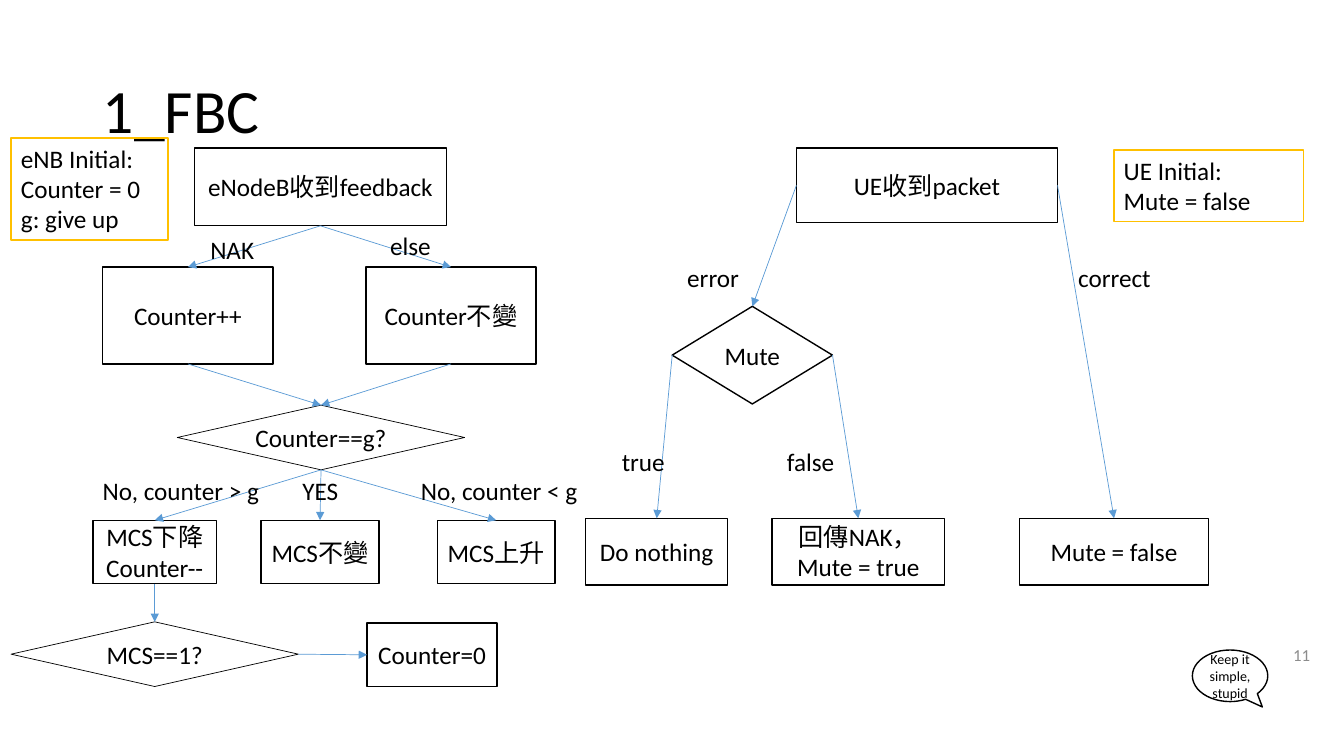
from lxml import etree
from pptx import Presentation
from pptx.dml.color import RGBColor
from pptx.enum.shapes import MSO_CONNECTOR, MSO_SHAPE
from pptx.enum.text import MSO_ANCHOR, PP_ALIGN
from pptx.oxml.ns import qn
from pptx.util import Cm, Pt

RECT, PROC, DIAM = MSO_SHAPE.RECTANGLE, MSO_SHAPE.FLOWCHART_PROCESS, MSO_SHAPE.DIAMOND
CALL = MSO_SHAPE.OVAL_CALLOUT
LEFT, MID, RIGHT = PP_ALIGN.LEFT, PP_ALIGN.CENTER, PP_ALIGN.RIGHT
TOP, CENTER = MSO_ANCHOR.TOP, MSO_ANCHOR.MIDDLE
BLACK = RGBColor(0x00, 0x00, 0x00)
WHITE = RGBColor(0xFF, 0xFF, 0xFF)
BLUE = RGBColor(0x5B, 0x9B, 0xD5)
GOLD = RGBColor(0xFF, 0xC0, 0x00)
GRAY = RGBColor(0x8C, 0x8C, 0x8C)
LATIN, ASIAN = "Calibri", "Noto Sans CJK SC"

# Content: lengths in cm as left, top, width, height
TITLE = "1_FBC"
NODES = {  # key: (shape, text lines, place, line width)
    "enb": (RECT, ["eNodeB收到feedback"], (4.9, 3.73, 6.35, 1.96), 1),
    "plus": (PROC, ["Counter++"], (2.59, 6.73, 4.29, 2.44), 1),
    "same": (PROC, ["Counter不變"], (9.22, 6.73, 4.29, 2.44), 1),
    "give": (DIAM, ["Counter==g?"], (4.47, 10.21, 7.24, 1.63), 0.5),
    "down": (PROC, ["MCS下降", "Counter--"], (2.34, 13.11, 3.12, 1.6), 1),
    "keep": (PROC, ["MCS不變"], (6.58, 13.11, 2.97, 1.6), 1),
    "up": (PROC, ["MCS上升"], (11.02, 13.11, 2.97, 1.6), 1),
    "one": (DIAM, ["MCS==1?"], (0.28, 15.67, 7.24, 1.63), 0.5),
    "zero": (PROC, ["Counter=0"], (9.25, 15.7, 3.28, 1.6), 1),
    "ue": (RECT, ["UE收到packet"], (20.07, 3.73, 6.58, 1.88), 1),
    "mute": (DIAM, ["Mute"], (16.94, 7.72, 4.04, 2.46), 1),
    "none": (PROC, ["Do nothing"], (14.76, 13.06, 3.58, 1.68), 1),
    "nak": (PROC, ["回傳NAK，Mute = true"], (19.46, 13.06, 4.34, 1.68), 1),
    "clear": (PROC, ["Mute = false"], (25.7, 13.06, 4.75, 1.68), 1),
}
SITES = {"top": 0, "left": 1, "bottom": 2, "right": 3}
LINKS = [  # from, side, to, side
    ("enb", "bottom", "plus", "top"),
    ("enb", "bottom", "same", "top"),
    ("plus", "bottom", "give", "top"),
    ("same", "bottom", "give", "top"),
    ("give", "bottom", "down", "top"),
    ("give", "bottom", "keep", "top"),
    ("give", "bottom", "up", "top"),
    ("down", "bottom", "one", "top"),
    ("one", "right", "zero", "left"),
    ("ue", "left", "mute", "top"),
    ("ue", "right", "clear", "top"),
    ("mute", "left", "none", "top"),
    ("mute", "right", "nak", "top"),
]
LABELS = [  # text, left, top, width, wrap
    ("NAK", 5.05, 5.77, 3.05, True),
    ("else", 9.58, 5.69, 1.6, True),
    ("No, counter > g", 2.34, 11.86, 4.55, True),
    ("YES", 7.37, 11.86, 1.42, False),
    ("No, counter < g", 10.36, 11.86, 4.55, True),
    ("error", 17.07, 6.48, 1.96, True),
    ("correct", 26.92, 6.48, 2.44, True),
    ("true", 15.42, 11.13, 1.6, False),
    ("false", 19.58, 11.13, 1.73, False),
]
HIGH = 1.02
NOTES = [
    (["eNB Initial:", "Counter = 0", "g: give up"], (0.28, 3.48, 3.96, 2.57)),
    (["UE Initial:", "Mute = false"], (28.07, 3.78, 4.78, 1.8)),
]
MOTTO = (["Keep it simple, stupid"], (30.05, 16.38, 1.9, 1.3))
PAGE = (["11"], (25.65, 15.98, 7.62, 1.02))


def write(shape, lines, size=18, color=BLACK, align=LEFT, anchor=TOP,
          wrap=True, inset=None, space=None):
    frame = shape.text_frame
    frame.word_wrap = wrap
    frame.vertical_anchor = anchor
    if inset is not None:
        frame.margin_left = frame.margin_right = Cm(inset)
        frame.margin_top = frame.margin_bottom = Cm(inset)
    for i, line in enumerate(lines):
        par = frame.add_paragraph() if i else frame.paragraphs[0]
        par.alignment = align
        if space:
            par.line_spacing = space
        run = par.add_run()
        run.text = line
        font = run.font
        font.name, font.size, font.color.rgb = LATIN, Pt(size), color
        east = etree.Element(qn("a:ea"), typeface=ASIAN)
        font._element.find(qn("a:latin")).addnext(east)


def draw(kind, place, fill=WHITE, line=BLACK, width=1):
    shape = shapes.add_shape(kind, *map(Cm, place))
    shape.shadow.inherit = False
    if fill is None:
        shape.fill.background()
    else:
        shape.fill.solid()
        shape.fill.fore_color.rgb = fill
    shape.line.color.rgb = line
    shape.line.width = Pt(width)
    return shape


def link(start, out, end, into):
    arrow = shapes.add_connector(MSO_CONNECTOR.STRAIGHT, 0, 0, 0, 0)
    arrow.begin_connect(start, SITES[out])
    arrow.end_connect(end, SITES[into])
    arrow.line.color.rgb = BLUE
    arrow.line.width = Pt(0.5)
    etree.SubElement(arrow.line._get_or_add_ln(), qn("a:tailEnd"), type="triangle")
    etree.SubElement(arrow._element.spPr, qn("a:effectLst"))


deck = Presentation()
deck.slide_width, deck.slide_height = Cm(33.87), Cm(19.05)
slide = deck.slides.add_slide(deck.slide_layouts[5])
shapes = slide.shapes

# Title
title = shapes.title
title.left, title.top, title.width, title.height = map(Cm, (2.34, 1.02, 29.21, 3.68))
write(title, [TITLE], size=44, anchor=CENTER, space=0.9)

# Motto and page number
text, place = MOTTO
motto = draw(CALL, place)
motto.adjustments[0], motto.adjustments[1] = 0.428, 0.604
write(motto, text, size=10, align=MID, anchor=CENTER, inset=0)
text, place = PAGE
write(shapes.add_textbox(*map(Cm, place)), text, size=12, color=GRAY,
      align=RIGHT, anchor=CENTER)

# Flow chart boxes and arrows
boxes = {}
for key, (kind, text, place, width) in NODES.items():
    boxes[key] = draw(kind, place, width=width)
    write(boxes[key], text, align=MID, anchor=CENTER, wrap=kind != DIAM)
for start, out, end, into in LINKS:
    link(boxes[start], out, boxes[end], into)

# Branch labels
for text, left, top, width, wrap in LABELS:
    label = shapes.add_textbox(Cm(left), Cm(top), Cm(width), Cm(HIGH))
    write(label, [text], wrap=wrap)

# Initial values
for text, place in NOTES:
    write(draw(RECT, place, fill=None, line=GOLD), text)

deck.save("out.pptx")
